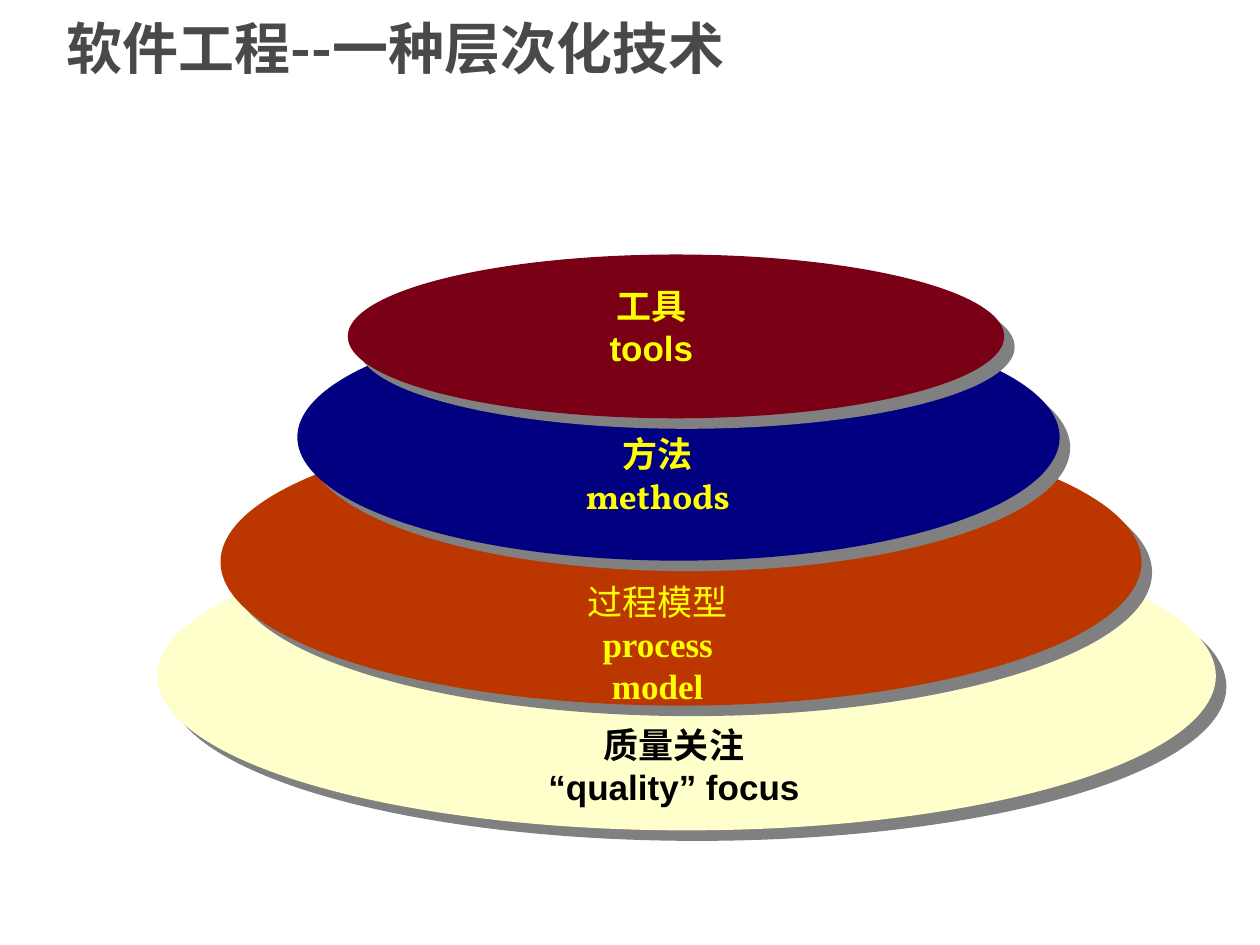
from lxml.etree import SubElement
from pptx import Presentation
from pptx.dml.color import RGBColor
from pptx.enum.shapes import MSO_SHAPE
from pptx.enum.text import MSO_ANCHOR, PP_ALIGN
from pptx.oxml.ns import qn
from pptx.util import Inches, Pt

COLORS = {
    "title": "47494B",
    "cream": "FFFFCC",
    "orange": "BC3700",
    "navy": "000080",
    "maroon": "790015",
    "shadow": "808080",
    "black": "000000",
    "yellow": "FFFF00",
}
CJK_FONT = "Noto Sans CJK SC"


def format_run(run, size, font, color, bold):
    run.font.size = Pt(size)
    run.font.name = font
    run.font.bold = bold
    run.font.color.rgb = RGBColor.from_string(COLORS[color])
    SubElement(run.font._element, qn("a:ea"), typeface=CJK_FONT)


def add_shadow(shape):
    shape.shadow.inherit = False
    effects = shape._element.spPr.find(qn("a:effectLst"))
    outer = SubElement(effects, qn("a:outerShdw"), dist=str(Pt(8.5)),
                       dir=str(45 * 60000), algn="ctr", rotWithShape="0")
    SubElement(outer, qn("a:srgbClr"), val=COLORS["shadow"])


prs = Presentation()
prs.slide_width, prs.slide_height = Inches(10), Inches(7.5)
slide = prs.slides.add_slide(prs.slide_layouts[6])

title = slide.shapes.add_textbox(Inches(0.43), Inches(0.06), Inches(9.05), Inches(0.7))
title.text_frame.word_wrap = True
title.text_frame.vertical_anchor = MSO_ANCHOR.MIDDLE
heading = title.text_frame.paragraphs[0]
heading.text = "软件工程--一种层次化技术"
heading.line_spacing = 0.9
format_run(heading.runs[0], 32, CJK_FONT, "title", True)

layers = [
    (1.25, 4.14, 8.4, 2.45, "cream"),
    (1.75, 3.32, 7.31, 2.28, "orange"),
    (2.36, 2.49, 6.05, 1.96, "navy"),
    (2.76, 2.02, 5.21, 1.3, "maroon"),
]
for left, top, width, height, color in layers:
    layer = slide.shapes.add_shape(MSO_SHAPE.OVAL, Inches(left), Inches(top),
                                   Inches(width), Inches(height))
    layer.fill.solid()
    layer.fill.fore_color.rgb = RGBColor.from_string(COLORS[color])
    layer.line.fill.background()
    add_shadow(layer)

labels = [
    (4.17, 5.74, 2.36, "black", [("质量关注", "Vollkorn", True), ("“quality” focus", "Arial", True)]),
    (4.39, 4.61, 1.66, "yellow", [("过程模型", "Times New Roman", False),
                                  ("process model", "Times New Roman", True)]),
    (4.57, 3.43, 1.3, "yellow", [("方法", "Vollkorn", True), ("methods", "Vollkorn", True)]),
    (4.76, 2.26, 0.82, "yellow", [("工具", "Arial", True), ("tools", "Arial", True)]),
]
for left, top, width, color, lines in labels:
    label = slide.shapes.add_textbox(Inches(left), Inches(top), Inches(width), Inches(0.84))
    frame = label.text_frame
    frame.word_wrap = True
    frame.margin_left = frame.margin_right = frame.margin_top = frame.margin_bottom = 0
    frame.text = "\n".join(text for text, font, bold in lines)
    for paragraph, (text, font, bold) in zip(frame.paragraphs, lines):
        paragraph.alignment = PP_ALIGN.CENTER
        format_run(paragraph.runs[0], 20, font, color, bold)

prs.save("out.pptx")
